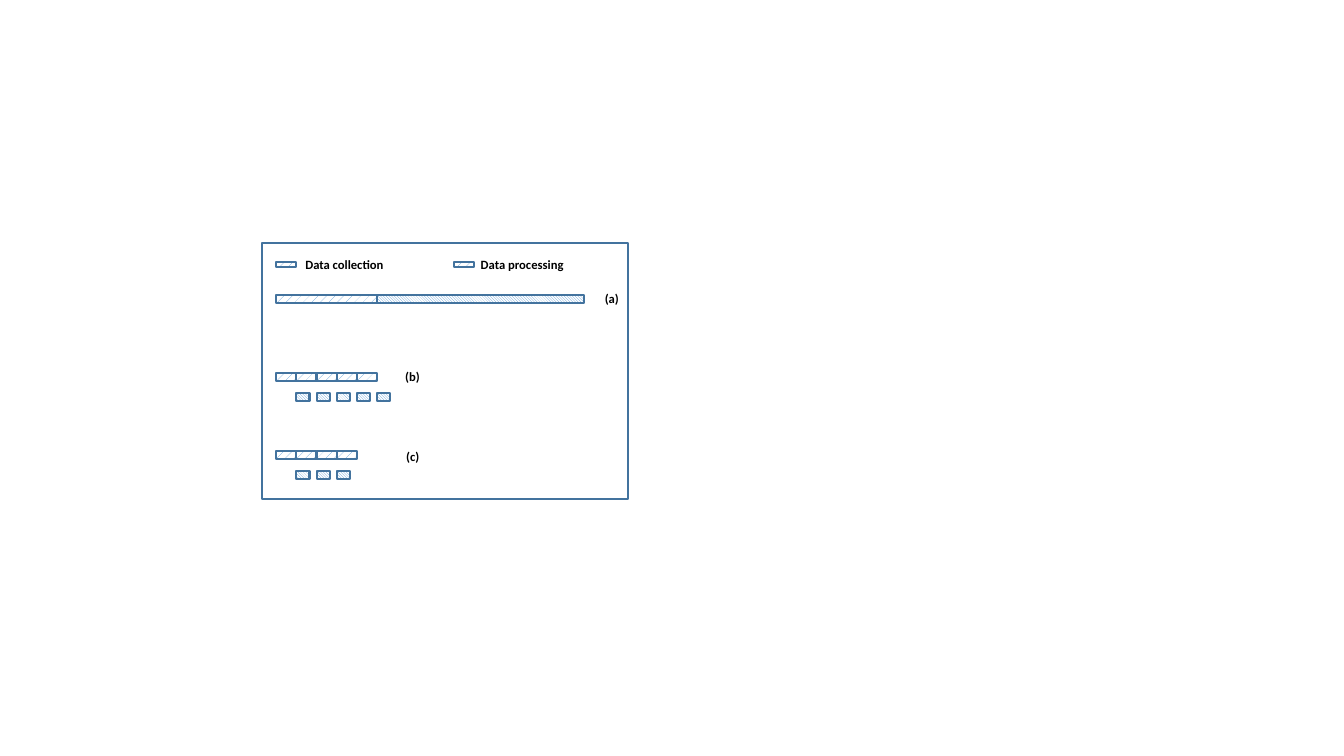
from pptx import Presentation
from pptx.dml.color import RGBColor
from pptx.enum.dml import MSO_PATTERN
from pptx.enum.shapes import MSO_SHAPE
from pptx.enum.text import MSO_AUTO_SIZE
from pptx.util import Inches, Pt

COLORS = {"hatch": "5B9BD5", "paper": "FFFFFF", "line": "43739E", "text": "000000"}
COLLECT = MSO_PATTERN.PERCENT_20
PROCESS = MSO_PATTERN.LIGHT_DOWNWARD_DIAGONAL
LEFT, STEP, BAR_H = 2.74, 0.2, 0.08
PROCESS_W = 0.13


def rgb(name):
    """Return the named colour."""
    return RGBColor.from_string(COLORS[name])


def add_box(shapes, x, y, w, h, pattern=None):
    """Add an outlined rectangle, hatched when a pattern is given."""
    s = shapes.add_shape(MSO_SHAPE.RECTANGLE, Inches(x), Inches(y), Inches(w), Inches(h))
    s.shadow.inherit = False
    s.line.color.rgb = rgb("line")
    s.line.width = Pt(1.5)
    if pattern is None:
        s.fill.background()
    else:
        s.fill.patterned()
        s.fill.pattern = pattern
        s.fill.fore_color.rgb = rgb("hatch")
        s.fill.back_color.rgb = rgb("paper")


def add_row(shapes, x, y, w, count, pattern):
    """Add a row of equal boxes, one per time step."""
    for i in range(count):
        add_box(shapes, x + i * STEP, y, w, BAR_H, pattern)


def add_pipeline(shapes, y, collected, processed):
    """Add collection slots with the processing slots below, one step later."""
    add_row(shapes, LEFT, y, STEP, collected, COLLECT)
    add_row(shapes, LEFT + STEP, y + 0.2, PROCESS_W, processed, PROCESS)


def add_label(shapes, x, y, w, text):
    """Add a bold one-line label."""
    s = shapes.add_textbox(Inches(x), Inches(y), Inches(w), Inches(0.25))
    tf = s.text_frame
    tf.word_wrap = False
    tf.auto_size = MSO_AUTO_SIZE.SHAPE_TO_FIT_TEXT
    r = tf.paragraphs[0].add_run()
    r.text = text
    r.font.name = "Calibri"
    r.font.size = Pt(9)
    r.font.bold = True
    r.font.color.rgb = rgb("text")


def main():
    """Build the timing diagram slide."""
    prs = Presentation()
    prs.slide_width, prs.slide_height = Inches(13.33), Inches(7.5)
    shapes = prs.slides.add_slide(prs.slide_layouts[6]).shapes

    # (a) sequential, (b) and (c) pipelined
    add_box(shapes, LEFT, 2.93, 1, BAR_H, COLLECT)
    add_box(shapes, LEFT + 1, 2.93, 2.05, BAR_H, PROCESS)
    add_pipeline(shapes.add_group_shape().shapes, 3.7, 5, 5)
    add_pipeline(shapes, 4.47, 4, 3)

    # Legend
    for key_x, text_x, w, text in [
        (LEFT, 2.93, 0.99, "Data collection"),
        (4.5, 4.67, 1.04, "Data processing"),
    ]:
        add_box(shapes, key_x, 2.6, STEP, 0.05, COLLECT)
        add_label(shapes, text_x, 2.5, w, text)

    for x, y, w, text in [
        (5.9, 2.84, 0.34, "(a)"),
        (3.92, 3.61, 0.35, "(b)"),
        (3.93, 4.4, 0.33, "(c)"),
    ]:
        add_label(shapes, x, y, w, text)

    add_box(shapes, 2.6, 2.41, 3.63, 2.54)
    prs.save("out.pptx")


main()
